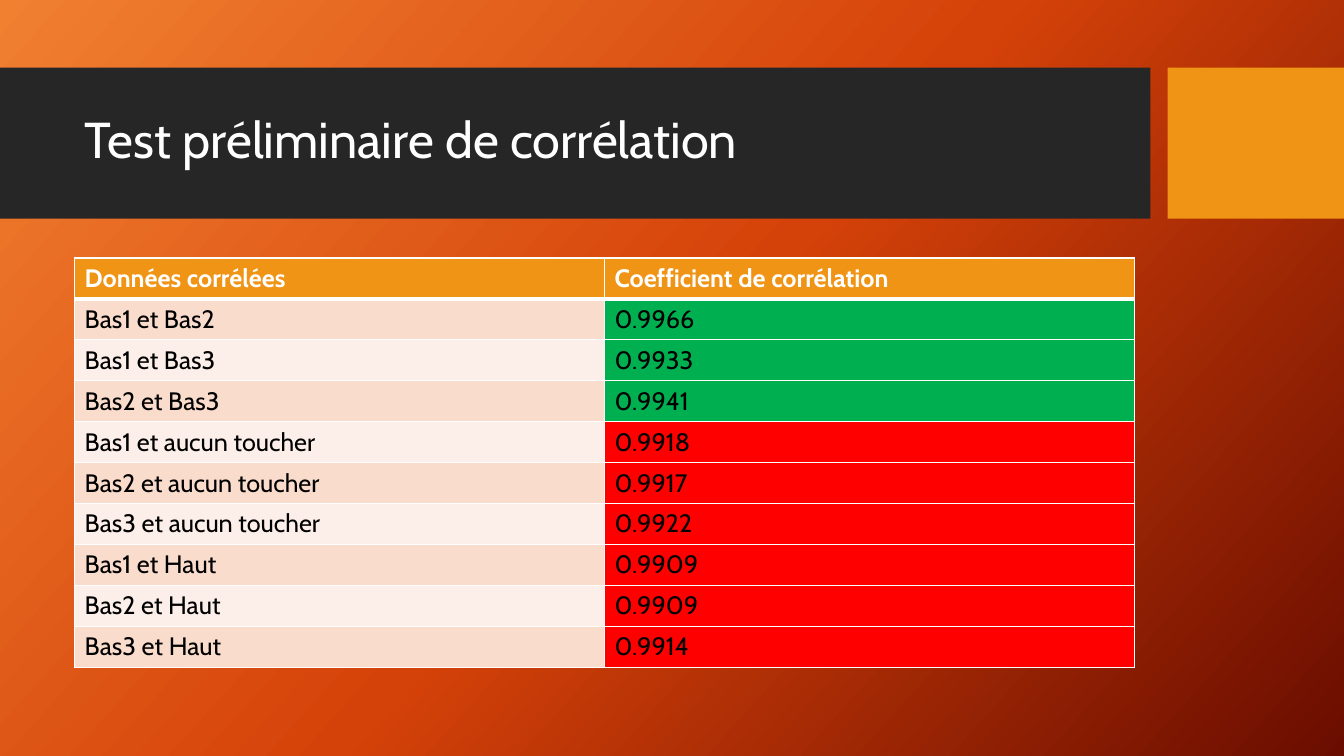
"""Build the slide that lists the preliminary correlation coefficients."""
import copy

import lxml.etree
import pptx
import pptx.dml.color
import pptx.enum.shapes
import pptx.enum.text
import pptx.oxml.ns
import pptx.util

THEME = {
    "font": "Cabin", "title_size": 36, "table_size": 18,
    "gradient": [(0, "F18031"), (0.5, "D54209"), (1, "6A0D00")],
    "banner": "262626", "accent": "F09415", "white": "FFFFFF", "black": "000000",
    "bands": ["F9DCCC", "FCEEE8"], "high": "00B050", "low": "FF0000",
}
HEADINGS = ("Données corrélées", "Coefficient de corrélation")
CORRELATIONS = [
    ("Bas1 et Bas2", "0.9966"),
    ("Bas1 et Bas3", "0.9933"),
    ("Bas2 et Bas3", "0.9941"),
    ("Bas1 et aucun toucher", "0.9918"),
    ("Bas2 et aucun toucher", "0.9917"),
    ("Bas3 et aucun toucher", "0.9922"),
    ("Bas1 et Haut", "0.9909"),
    ("Bas2 et Haut", "0.9909"),
    ("Bas3 et Haut", "0.9914"),
]
HIGH_THRESHOLD = 0.993
inches = pptx.util.Inches
rgb = pptx.dml.color.RGBColor.from_string


def style_text(paragraph, size, color, bold=False):
    for run in paragraph.runs:
        run.font.name = THEME["font"]
        run.font.size = pptx.util.Pt(size)
        run.font.color.rgb = rgb(color)
        run.font.bold = bold


def add_border(cell, side, width):
    properties = cell._tc.get_or_add_tcPr()
    line = lxml.etree.SubElement(
        properties, pptx.oxml.ns.qn(f"a:ln{side}"), w=str(pptx.util.Pt(width)))
    fill = lxml.etree.SubElement(line, pptx.oxml.ns.qn("a:solidFill"))
    lxml.etree.SubElement(fill, pptx.oxml.ns.qn("a:srgbClr"), val=THEME["white"])


presentation = pptx.Presentation()
presentation.slide_width = inches(13.33)
presentation.slide_height = inches(7.5)
slide = presentation.slides.add_slide(presentation.slide_layouts[5])

background = slide.background.fill
background.gradient()
background.gradient_angle = 360 - 42
stop_list = slide.element.xpath(".//p:bg//a:gsLst")[0]
stop_list.append(copy.deepcopy(stop_list[0]))
for stop, (position, color) in zip(background.gradient_stops, THEME["gradient"]):
    stop.position = position
    stop.color.rgb = rgb(color)

banner_top, banner_height = inches(0.67), inches(1.5)
for left, width, color in [(0, 11.41, THEME["banner"]), (11.58, 1.75, THEME["accent"])]:
    bar = slide.shapes.add_shape(
        pptx.enum.shapes.MSO_SHAPE.RECTANGLE,
        inches(left), banner_top, inches(width), banner_height)
    bar.shadow.inherit = False
    bar.fill.solid()
    bar.fill.fore_color.rgb = rgb(color)
    bar.line.fill.background()

content_left, content_width = inches(0.74), inches(10.51)
title = slide.shapes.title
slide.shapes.element.append(title.element)
title.left, title.top = content_left, inches(0.82)
title.width, title.height = content_width, inches(1.18)
title.text_frame.text = "Test préliminaire de corrélation"
title.text_frame.vertical_anchor = pptx.enum.text.MSO_ANCHOR.MIDDLE
title_paragraph = title.text_frame.paragraphs[0]
title_paragraph.alignment = pptx.enum.text.PP_ALIGN.LEFT
title_paragraph.line_spacing = 0.9
style_text(title_paragraph, THEME["title_size"], THEME["white"])

rows = [HEADINGS, *CORRELATIONS]
table = slide.shapes.add_table(
    len(rows), len(HEADINGS), content_left, inches(2.56),
    content_width, inches(4.06)).table
for row_index, row in enumerate(rows):
    is_header = row_index == 0
    if is_header:
        fills = [THEME["accent"]] * 2
    else:
        level = "high" if float(row[1]) > HIGH_THRESHOLD else "low"
        fills = [THEME["bands"][(row_index - 1) % 2], THEME[level]]
    for column_index, (text, fill) in enumerate(zip(row, fills)):
        cell = table.cell(row_index, column_index)
        cell.text_frame.text = text
        style_text(cell.text_frame.paragraphs[0], THEME["table_size"],
                   THEME["white" if is_header else "black"], is_header)
        add_border(cell, "L", 1)
        add_border(cell, "R", 1)
        add_border(cell, "T", 3 if row_index == 1 else 1)
        add_border(cell, "B", 3 if is_header else 1)
        cell.fill.solid()
        cell.fill.fore_color.rgb = rgb(fill)

presentation.save("out.pptx")
